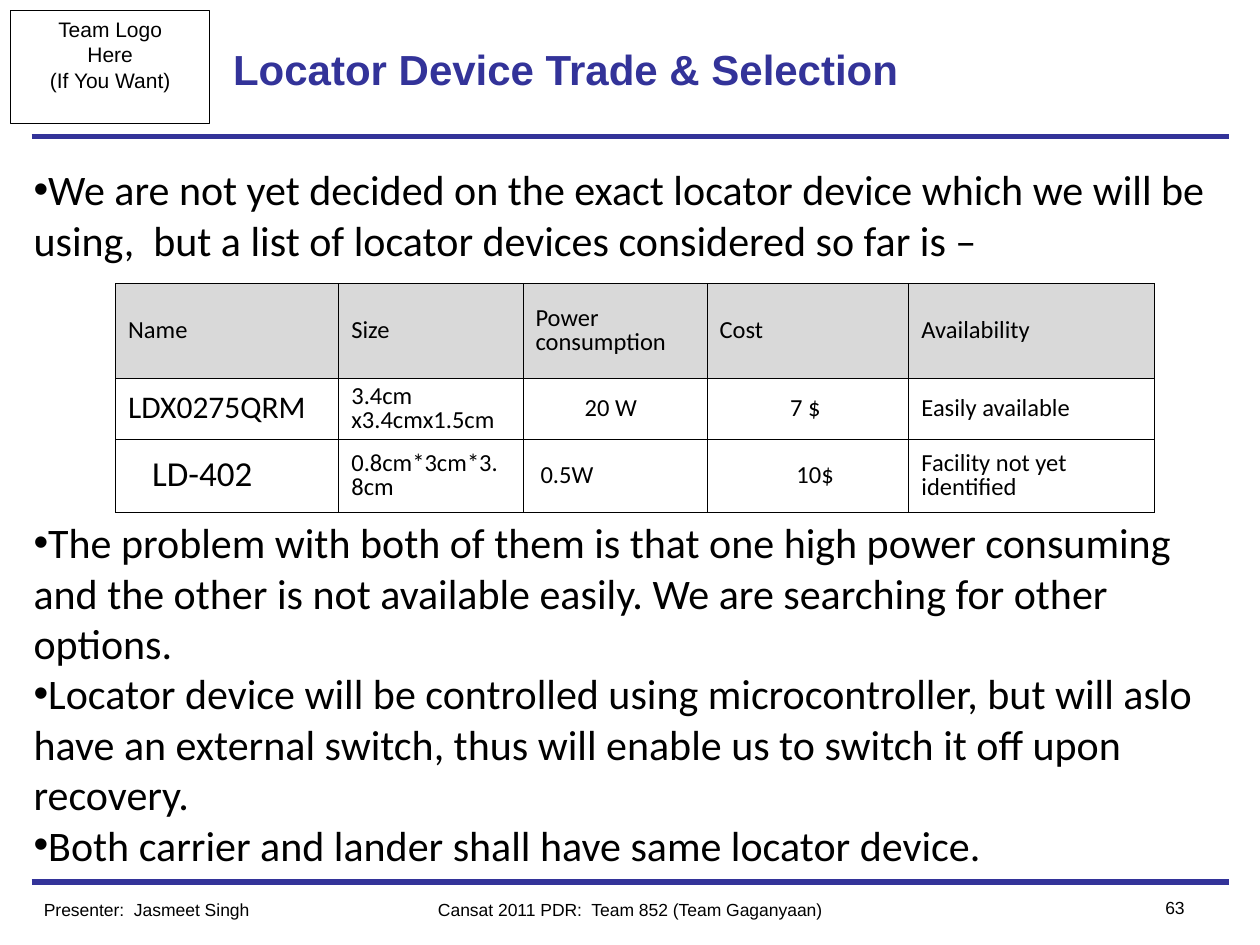
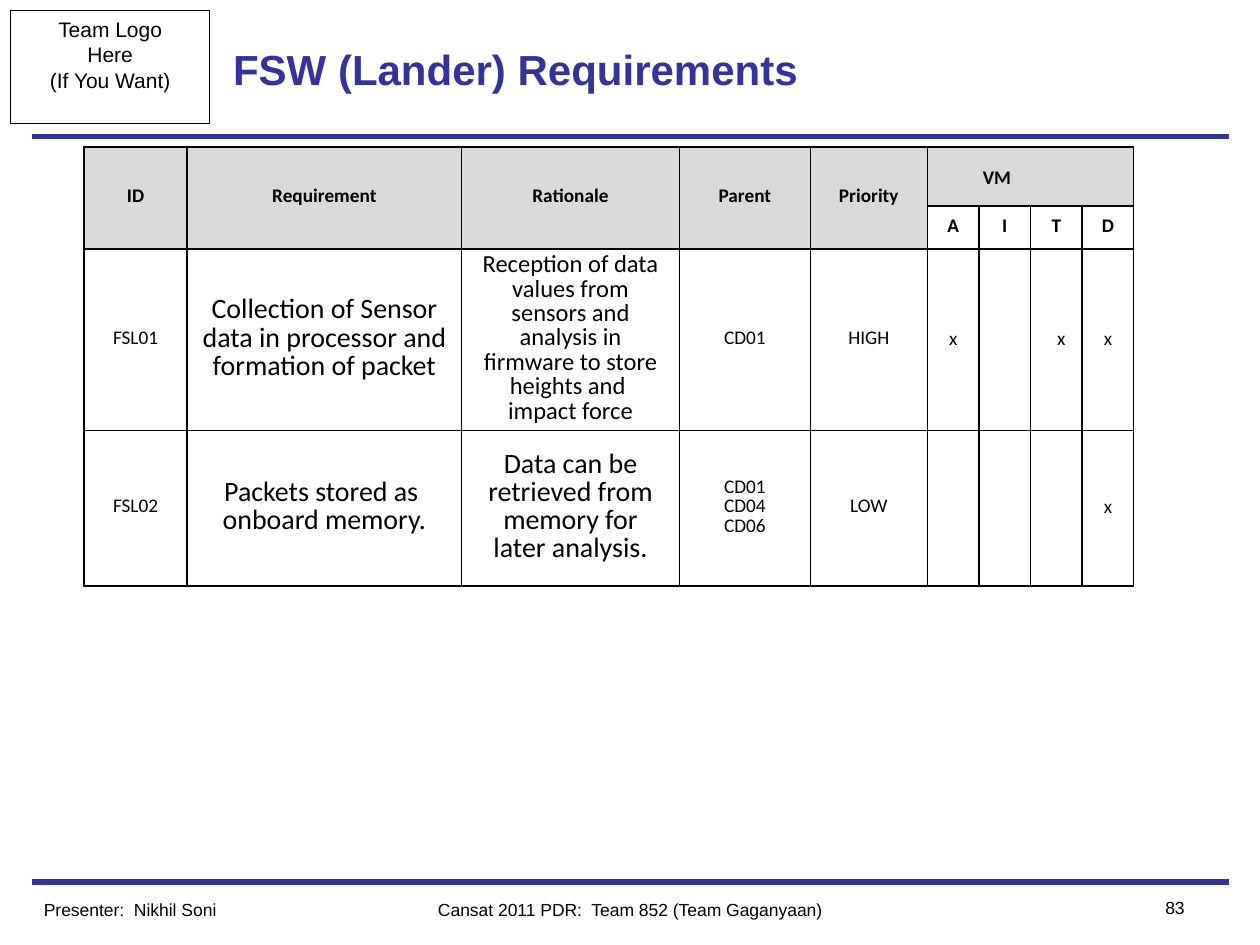
from dataclasses import dataclass

from lxml import etree
from pptx import Presentation
from pptx.dml.color import RGBColor
from pptx.enum.shapes import MSO_CONNECTOR, MSO_SHAPE
from pptx.enum.text import MSO_ANCHOR, MSO_AUTO_SIZE, PP_ALIGN
from pptx.oxml.ns import qn
from pptx.util import Inches, Pt

LEFT, CENTER, RIGHT = PP_ALIGN.LEFT, PP_ALIGN.CENTER, PP_ALIGN.RIGHT
TOP, MIDDLE = MSO_ANCHOR.TOP, MSO_ANCHOR.MIDDLE
NO_AUTOFIT = MSO_AUTO_SIZE.NONE
STRAIGHT = MSO_CONNECTOR.STRAIGHT
RECTANGLE = MSO_SHAPE.RECTANGLE
TITLE_AND_CONTENT, TITLE_ONLY = 1, 5

COLUMNS, ROWS = 120, 90
WIDTH, HEIGHT = Inches(10), Inches(7.5)


@dataclass(frozen=True)
class Theme:
    accent: str = "333399"
    ink: str = "000000"
    header: str = "D9D9D9"
    heading_font: str = "Arial"
    body_font: str = "Calibri"
    title: int = 24
    body: int = 24
    logo: int = 12
    footer: int = 10
    device: int = 14
    requirement: int = 11


THEME = Theme()


def place(column, row, columns, rows):
    across, down = WIDTH / COLUMNS, HEIGHT / ROWS
    return (round(column * across), round(row * down),
            round(columns * across), round(rows * down))


def move(box, area):
    box.left, box.top, box.width, box.height = place(*area)


def write_text(frame, text, *, size, font=THEME.heading_font, color=THEME.ink,
               bold=False, align=LEFT, spacing=1.0, indent=0, bullet=None,
               gaps=None):
    for index, line in enumerate(text.split("\n")):
        para = frame.paragraphs[0] if index == 0 else frame.add_paragraph()
        properties = para._p.get_or_add_pPr()
        properties.set("marL", str(Inches(indent)))
        properties.set("indent", "0")
        if bullet:
            etree.SubElement(properties, qn("a:buChar")).set("char", bullet)
        para.alignment = align
        para.line_spacing = spacing
        para.space_before = Pt((gaps or {}).get(index, 0))
        span = para.add_run()
        span.text = line
        span.font.size = Pt(size)
        span.font.name = font
        span.font.bold = bold
        span.font.color.rgb = RGBColor.from_string(color)


def add_label(page, area, text, **style):
    box = page.shapes.add_textbox(*place(*area))
    box.text_frame.word_wrap = True
    write_text(box.text_frame, text, **style)


def add_rule(page, row):
    left, top, width, _ = place(3, row, 114, 0)
    rule = page.shapes.add_connector(STRAIGHT, left, top, left + width, top)
    rule.line.color.rgb = RGBColor.from_string(THEME.accent)
    rule.line.width = Pt(3)
    etree.SubElement(rule._element.spPr, qn("a:effectLst"))


def add_logo_box(page):
    box = page.shapes.add_shape(RECTANGLE, *place(1, 1, 19, 10.8))
    box.shadow.inherit = False
    box.fill.background()
    box.line.color.rgb = RGBColor.from_string(THEME.ink)
    box.line.width = Pt(0.5)
    box.text_frame.word_wrap = False
    box.text_frame.vertical_anchor = TOP
    write_text(box.text_frame, "Team Logo\nHere\n(If You Want)",
               size=THEME.logo, align=CENTER)


def add_page(deck, layout, title, presenter, number):
    page = deck.slides.add_slide(deck.slide_layouts[layout])
    for row in (84, 13):
        add_rule(page, row)
    add_logo_box(page)
    heading = page.shapes.title
    move(heading, (21, 1, 78, 11))
    heading.text_frame.vertical_anchor = MIDDLE
    heading.text_frame.auto_size = NO_AUTOFIT
    write_text(heading.text_frame, title, size=THEME.title,
               color=THEME.accent, bold=True)
    add_label(page, (3, 85, 30, 3.2), f"Presenter:  {presenter}", size=THEME.footer)
    add_label(page, (36, 85, 48, 3.2), "Cansat 2011 PDR:  Team 852 (Team Gaganyaan)",
              size=THEME.footer, align=CENTER)
    add_label(page, (105, 84.8, 9, 3.2), str(number), size=THEME.footer, align=RIGHT)
    return page


def add_body(page, area, lines, gaps):
    body = page.placeholders[1]
    move(body, area)
    body.text_frame.vertical_anchor = TOP
    body.text_frame.auto_size = NO_AUTOFIT
    write_text(body.text_frame, "\n".join(lines), size=THEME.body,
               font=THEME.body_font, bullet="•", gaps=gaps)


def draw_borders(cell, width):
    properties = cell._tc.get_or_add_tcPr()
    for side in ("lnL", "lnR", "lnT", "lnB"):
        line = etree.SubElement(properties, qn(f"a:{side}"))
        line.set("w", str(Pt(width)))
        fill = etree.SubElement(line, qn("a:solidFill"))
        etree.SubElement(fill, qn("a:srgbClr")).set("val", THEME.ink)


def add_grid(page, area, widths, heights, entries, *, border, inset, merges=(),
             **style):
    _, _, total_width, total_height = place(*area)
    table = page.shapes.add_table(len(heights), len(widths), *place(*area)).table
    table.first_row = table.horz_banding = False
    for column, width in zip(table.columns, widths):
        column.width = round(total_width * width / sum(widths))
    for row, height in zip(table.rows, heights):
        row.height = round(total_height * height / sum(heights))
    for first, last in merges:
        table.cell(*first).merge(table.cell(*last))
    for row, line in enumerate(entries):
        for column, entry in enumerate(line):
            text, extra = entry if isinstance(entry, tuple) else (entry, {})
            cell = table.cell(row, column)
            cell.vertical_anchor = MIDDLE
            cell.margin_top = Inches(inset)
            draw_borders(cell, border)
            if row == 0:
                cell.fill.solid()
                cell.fill.fore_color.rgb = RGBColor.from_string(THEME.header)
            else:
                cell.fill.background()
            if text:
                write_text(cell.text_frame, text,
                           **{"font": THEME.body_font, **style, **extra})


def build_locator_page(deck):
    page = add_page(deck, TITLE_AND_CONTENT, "Locator Device Trade & Selection",
                    "Jasmeet Singh", 63)
    add_body(page, (2, 15, 114, 68), [
        "We are not yet decided on the exact locator device which we will be using,"
        "  but a list of locator devices considered so far is –",
        "The problem with both of them is that one high power consuming and the other"
        " is not available easily. We are searching for other options.",
        "Locator device will be controlled using microcontroller, but will aslo have"
        " an external switch, thus will enable us to switch it off upon recovery.",
        "Both carrier and lander shall have same locator device.",
    ], gaps={1: 144})
    devices = [
        ["Name", "Size", "Power consumption", "Cost", "Availability"],
        [("LDX0275QRM", {"size": 18}), "3.4cm x3.4cmx1.5cm",
         ("20 W", {"indent": 0.39}), ("7 $", {"indent": 0.56}), "Easily available"],
        [("LD-402", {"size": 20, "indent": 0.19}), "0.8cm*3cm*3.8cm",
         ("0.5W", {"indent": 0.04}), ("10$", {"indent": 0.61}),
         "Facility not yet identified"],
    ]
    add_grid(page, (11, 27, 99, 21.8), [1.77, 1.46, 1.46, 1.6, 1.95],
             [0.75, 0.48, 0.58], devices, border=0.45, inset=0.06,
             size=THEME.device, spacing=0.8)


def build_requirements_page(deck):
    page = add_page(deck, TITLE_ONLY, "FSW (Lander) Requirements", "Nikhil Soni", 83)
    strong, large, medium = {"bold": True}, {"size": 16}, {"size": 14}
    mark = ("x", {"spacing": 1.0})
    names = ["ID", "Requirement", "Rationale", "Parent", "Priority"]
    requirements = [
        [(name, strong) for name in names]
        + [("VM", {"bold": True, "align": LEFT, "indent": 0.34, "spacing": 1.2}),
           "", "", ""],
        [""] * len(names) + [(letter, strong) for letter in "AITD"],
        ["FSL01",
         ("Collection of Sensor data in processor and formation of packet", large),
         ("Reception of data values from sensors and analysis in firmware to store"
          " heights and  impact force", medium),
         "CD01", "HIGH", mark, "", ("x", {"spacing": 1.0, "indent": 0.08}), mark],
        ["FSL02", ("Packets stored as  onboard memory.", large),
         ("Data can be retrieved from memory for later analysis.", large),
         "CD01\nCD04\nCD06", "LOW", "", "", "", mark],
    ]
    merges = [((0, column), (1, column)) for column in range(len(names))]
    merges.append(((0, 5), (0, 8)))
    add_grid(page, (8, 14, 100, 41.8),
             [0.82, 2.18, 1.73, 1.04, 0.93] + [0.41] * 4,
             [0.47, 0.34, 1.44, 1.23], requirements, border=1, inset=0.03,
             merges=merges, size=THEME.requirement, align=CENTER, spacing=0.82)


def main():
    deck = Presentation()
    deck.slide_width, deck.slide_height = WIDTH, HEIGHT
    build_locator_page(deck)
    build_requirements_page(deck)
    deck.save("out.pptx")


if __name__ == "__main__":
    main()
